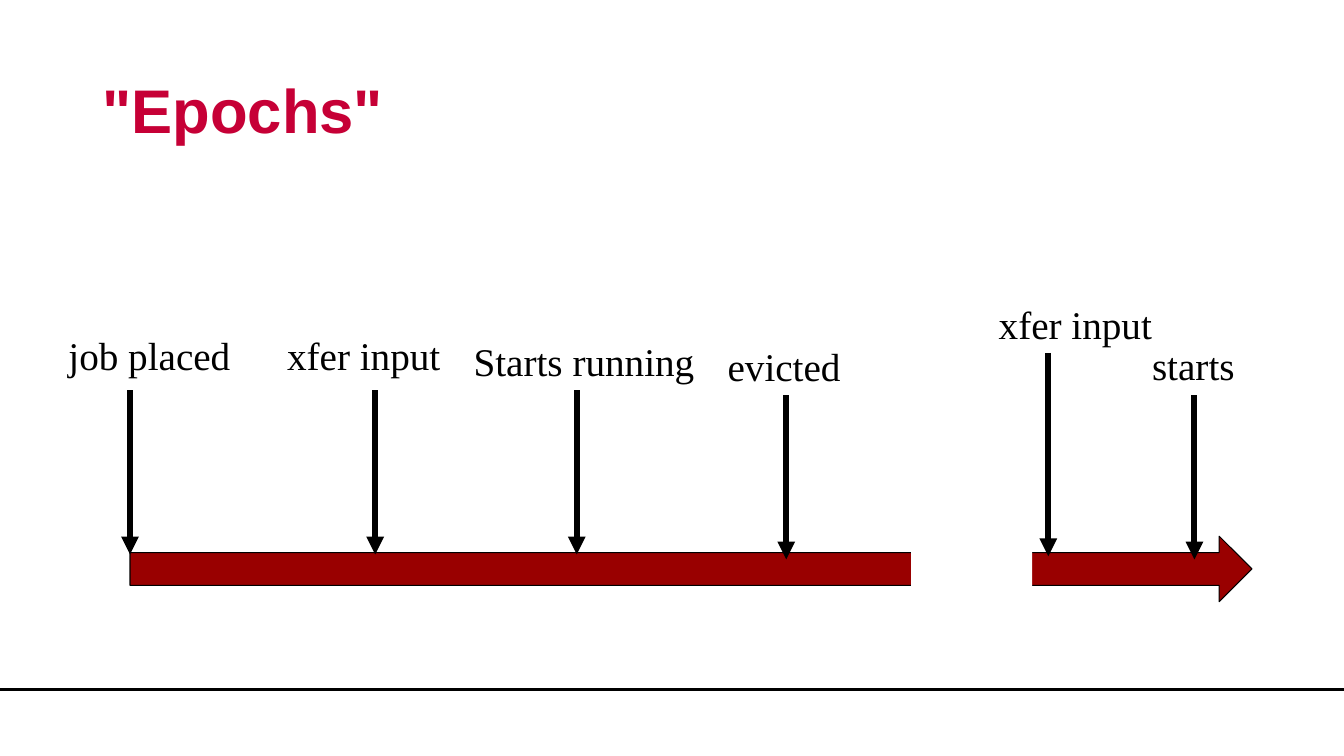
"""Builds the "Epochs" slide: a job timeline with labelled events and a gap."""
from dataclasses import dataclass
from lxml.etree import SubElement
from pptx import Presentation
from pptx.dml.color import RGBColor as Rgb
from pptx.enum.shapes import MSO_CONNECTOR as Link, MSO_SHAPE as Form
from pptx.enum.text import MSO_ANCHOR as Anchor, MSO_AUTO_SIZE as Fit, PP_ALIGN as Align
from pptx.oxml.ns import qn
from pptx.util import Pt


@dataclass(frozen=True)
class Theme:
    ink: Rgb = Rgb(0, 0, 0)
    paper: Rgb = Rgb(255, 255, 255)
    head: Rgb = Rgb(0xC6, 0, 0x36)
    bar: Rgb = Rgb(0x99, 0, 0)
    sans: str = "Arial"
    serif: str = "Times New Roman"
    big: int = 44
    text: int = 28


class Board:
    def __init__(self, slide, theme):
        self.slide, self.theme = slide, theme

    def place(self, item, x, y, w, h):
        item.left, item.top, item.width, item.height = Pt(x), Pt(y), Pt(w), Pt(h)

    def add_text(self, frame, text, face, size, color, align, bold=False):
        para = frame.paragraphs[0]
        para.alignment = align
        run = para.add_run()
        run.text = text
        font = run.font
        font.name, font.size, font.bold = face, Pt(size), bold
        font.color.rgb = color
        return para

    def title(self, text, *box):
        item, look = self.slide.shapes.title, self.theme
        self.place(item, *box)
        frame = item.text_frame
        frame.auto_size, frame.vertical_anchor = Fit.NONE, Anchor.MIDDLE
        para = self.add_text(frame, text, look.sans, look.big, look.head, Align.LEFT, True)
        para.line_spacing = 0.9

    def label(self, text, x, y, w, align=Align.LEFT):
        look = self.theme
        frame = self.slide.shapes.add_textbox(Pt(x), Pt(y), Pt(w), Pt(41)).text_frame
        frame.word_wrap, frame.auto_size = True, Fit.SHAPE_TO_FIT_TEXT
        self.add_text(frame, text, look.serif, look.text, look.ink, align)

    def line(self, x1, y1, x2, y2, width, arrow=False):
        item = self.slide.shapes.add_connector(Link.STRAIGHT, Pt(x1), Pt(y1), Pt(x2), Pt(y2))
        item.line.color.rgb, item.line.width = self.theme.ink, Pt(width)
        props = item.element.spPr
        if arrow:
            SubElement(props.find(qn("a:ln")), qn("a:tailEnd"), type="triangle")
        SubElement(props, qn("a:effectLst"))

    def shape(self, form, fill, x, y, w, h, edge=None):
        item = self.slide.shapes.add_shape(form, Pt(x), Pt(y), Pt(w), Pt(h))
        item.shadow.inherit = False
        item.fill.solid()
        item.fill.fore_color.rgb = fill
        if edge:
            item.line.color.rgb, item.line.width = self.theme.ink, Pt(edge)
        else:
            item.line.fill.background()


def main():
    deck = Presentation()
    deck.slide_width, deck.slide_height = Pt(960), Pt(540)
    theme = Theme()
    board = Board(deck.slides.add_slide(deck.slide_layouts[5]), theme)
    board.line(0, 492.5, 960, 492.5, 2.25)
    board.title('"Epochs"', 66, 28.8, 828, 104.4)
    top, tall = 383, 46.8
    board.shape(Form.RIGHT_ARROW, theme.bar, 92.9, top, 801.4, tall, 0.75)
    events = [
        ("job placed", 41.8, 233.3, 142, Align.LEFT, 92.9, 278.6, 396),
        ("xfer input", 198, 233.3, 169, Align.LEFT, 268, 278.6, 396),
        ("Starts running", 331.2, 237.6, 181.4, Align.LEFT, 412, 278.6, 396),
        ("evicted", 469.4, 241.2, 181.4, Align.CENTER, 561.6, 282.2, 399.6),
        ("xfer input", 706.3, 211, 169, Align.LEFT, 748.8, 252, 397.4),
        ("starts", 815.8, 240.5, 169, Align.LEFT, 853.2, 282.2, 399.6),
    ]
    for text, x, y, w, align, mark, start, end in events:
        board.line(mark, start, mark, end, 4.25, True)
        board.label(text, x, y, w, align)
    board.shape(Form.RECTANGLE, theme.paper, 650.9, top, 86.4, tall)
    deck.save("out.pptx")


if __name__ == "__main__":
    main()
